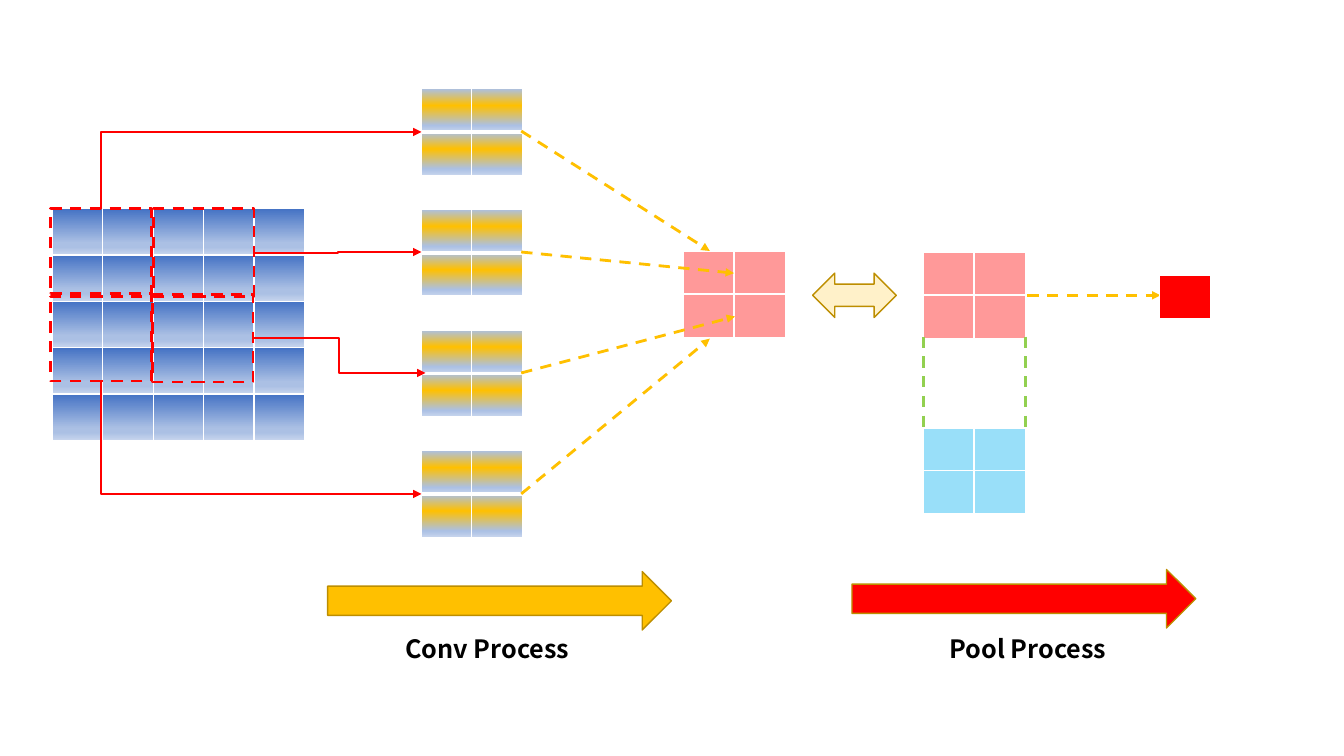
from pptx import Presentation
from pptx.dml.color import RGBColor
from pptx.enum import dml, shapes, text
from pptx.oxml import parse_xml
from pptx.oxml.ns import nsdecls
from pptx.oxml.xmlchemy import OxmlElement
from pptx.util import Inches, Pt

WHITE = RGBColor(0xFF, 0xFF, 0xFF)
BLACK = RGBColor(0, 0, 0)
RED = RGBColor(0xFF, 0, 0)
GOLD = RGBColor(0xFF, 0xC0, 0)
DARK_GOLD = RGBColor(0xBD, 0x8E, 0)
GREEN = RGBColor(0x92, 0xD0, 0x50)
SKY = RGBColor(0, 0xB0, 0xF0)
BLUE = RGBColor(0x44, 0x72, 0xC4)
PALE_BLUE = RGBColor(0xAB, 0xC0, 0xE4)
PALEST_BLUE = RGBColor(0xC7, 0xD5, 0xED)

INPUT_FADE = [(0, BLUE), (74, PALE_BLUE), (83, PALE_BLUE), (100, PALEST_BLUE)]
PATCH_FADE = [(0, PALE_BLUE), (39, GOLD), (85, PALE_BLUE), (100, PALEST_BLUE)]


def color_xml(color, alpha=100):
    return f'<a:srgbClr val="{color}"><a:alpha val="{alpha * 1000}"/></a:srgbClr>'


def solid(color, alpha=100):
    return f'<a:solidFill {nsdecls("a")}>{color_xml(color, alpha)}</a:solidFill>'


def fade(stops):
    """Top-to-bottom gradient fill from (percent, colour) stops."""
    marks = "".join(f'<a:gs pos="{pos * 1000}">{color_xml(color)}</a:gs>' for pos, color in stops)
    return (f'<a:gradFill {nsdecls("a")} rotWithShape="1"><a:gsLst>{marks}</a:gsLst>'
            '<a:lin ang="5400000" scaled="0"/></a:gradFill>')


class Diagram:
    def __init__(self, slide, font="Noto Sans CJK SC"):
        self.shapes = slide.shapes
        self.font = font

    def text(self, content, left, top, width, height, size=18, color=BLACK, bold=True):
        sp = self.shapes.add_textbox(Inches(left), Inches(top), Inches(width), Inches(height))
        tf = sp.text_frame
        tf.word_wrap = True
        tf.auto_size = text.MSO_AUTO_SIZE.SHAPE_TO_FIT_TEXT
        r = tf.paragraphs[0].add_run()
        r.text = content
        r.font.name, r.font.size, r.font.bold = self.font, Pt(size), bold
        r.font.color.rgb = color

    def stroke(self, line, color, width, dashed=False):
        line.color.rgb = color
        line.width = Pt(width)
        if dashed:
            line.dash_style = dml.MSO_LINE.DASH

    def shape(self, kind, left, top, width, height, line, weight=1, fill=None, alpha=100, dashed=False):
        sp = self.shapes.add_shape(kind, Inches(left), Inches(top), Inches(width), Inches(height))
        sp.shadow.inherit = False
        if fill is None:
            sp.fill.background()
        else:
            sp.fill.solid()
            sp.fill.fore_color.rgb = fill
            if alpha < 100:
                opacity = OxmlElement("a:alpha")
                opacity.set("val", str(alpha * 1000))
                sp.fill._xPr.find(".//{*}srgbClr").append(opacity)
        self.stroke(sp.line, line, weight, dashed)

    def table(self, left, top, rows, cols, width, height, fill, rule=1):
        """Grid of equal cells; rule is the weight below the first row."""
        frame = self.shapes.add_table(rows, cols, Inches(left), Inches(top),
                                      Inches(cols * width), Inches(rows * height))
        table = frame.table
        table.first_row = table.horz_banding = False
        for col in table.columns:
            col.width = Inches(width)
        for i, row in enumerate(table.rows):
            row.height = Inches(height)
            for cell in row.cells:
                cell.margin_left = cell.margin_right = cell.margin_top = cell.margin_bottom = 0
                weights = {"L": 1, "R": 1, "T": rule if i == 1 else 1, "B": rule if i == 0 else 1}
                tcPr = cell._tc.get_or_add_tcPr()
                for side, weight in weights.items():
                    tcPr.append(parse_xml(f'<a:ln{side} {nsdecls("a")} w="{Pt(weight)}">'
                                          f'{solid(WHITE)}</a:ln{side}>'))
                tcPr.append(parse_xml(fill))

    def cell_block(self, left, top, pitch, color):
        """Four separate translucent cells, two by two."""
        for row in range(2):
            for col in range(2):
                self.table(left + col * 0.5, top + row * pitch, 1, 1, 0.51, 0.44,
                           solid(color, 40), rule=3)

    def connector(self, start, end, color, width=2, dashed=True, arrow=True,
                  kind=shapes.MSO_CONNECTOR.STRAIGHT):
        c = self.shapes.add_connector(kind, *map(Inches, start + end))
        self.stroke(c.line, color, width, dashed)
        if arrow:
            tail = OxmlElement("a:tailEnd")
            tail.set("type", "triangle")
            c.line._get_or_add_ln().append(tail)
        c._element.spPr.append(OxmlElement("a:effectLst"))
        return c

    def elbow(self, start, end):
        return self.connector(start, end, RED, 1.5, dashed=False, kind=shapes.MSO_CONNECTOR.ELBOW)

    def corner(self, start, end):
        """One-bend arrow that goes up or down first, then right."""
        (x1, y1), (x2, y2) = start, end
        mid_x, mid_y = (x1 + x2) / 2, (y1 + y2) / 2
        half_w, half_h = abs(y2 - y1) / 2, (x2 - x1) / 2
        rising = y2 < y1
        turn = 1 if rising else -1
        c = self.elbow((mid_x + half_w, mid_y + turn * half_h),
                       (mid_x - half_w, mid_y - turn * half_h))
        c._element.spPr.find("{*}prstGeom").set("prst", "bentConnector2")
        c._element.spPr.find("{*}xfrm").set("rot", str((90 if rising else 270) * 60000))


def main():
    prs = Presentation()
    prs.slide_width, prs.slide_height = Inches(13.33), Inches(7.5)
    d = Diagram(prs.slides.add_slide(prs.slide_layouts[6]))
    kinds = shapes.MSO_SHAPE

    d.cell_block(6.78, 2.49, 0.43, RED)
    d.table(0.52, 2.07, 5, 5, 0.5, 0.46, fade(INPUT_FADE))

    for label, label_left, left, top, color in [("Conv Process", 3.92, 3.25, 5.67, GOLD),
                                                ("Pool Process", 9.32, 8.45, 5.65, RED)]:
        d.shape(kinds.RIGHT_ARROW, left, top, 3.41, 0.58, DARK_GOLD, fill=color)
        d.text(label, label_left, 6.23, 2.19, 0.4)

    for i in range(4):
        d.table(4.18, 0.88 + 1.197 * i, 2, 2, 0.5, 0.43, fade(PATCH_FADE), rule=3)
    for left, top in [(0.5, 2.07), (1.52, 2.07), (0.5, 2.91), (1.51, 2.92)]:
        d.shape(kinds.RECTANGLE, left, top, 1, 0.87, RED, 2, dashed=True)

    d.corner((1, 2.07), (4.18, 1.31))
    d.elbow((2.52, 2.51), (4.18, 2.5))
    d.elbow((2.51, 3.35), (4.22, 3.7))
    d.corner((1, 3.78), (4.18, 4.9))

    for i, target in enumerate([(7.04, 2.49), (7.28, 2.71), (7.29, 3.14), (7.04, 3.36)]):
        d.connector((5.17, 1.3 + 1.2 * i), target, GOLD)

    d.cell_block(9.16, 4.25, 0.42, SKY)
    d.cell_block(9.16, 2.5, 0.43, RED)
    d.connector((10.19, 2.93), (11.51, 2.93), GOLD)
    d.table(11.5, 2.73, 1, 1, 0.51, 0.44, solid(RED), rule=3)
    d.shape(kinds.LEFT_RIGHT_ARROW, 8.06, 2.71, 0.83, 0.44, DARK_GOLD, fill=GOLD, alpha=21)
    for x in (9.16, 10.17):
        d.connector((x, 3.34), (x, 4.25), GREEN, arrow=False)

    prs.save("out.pptx")


if __name__ == "__main__":
    main()
